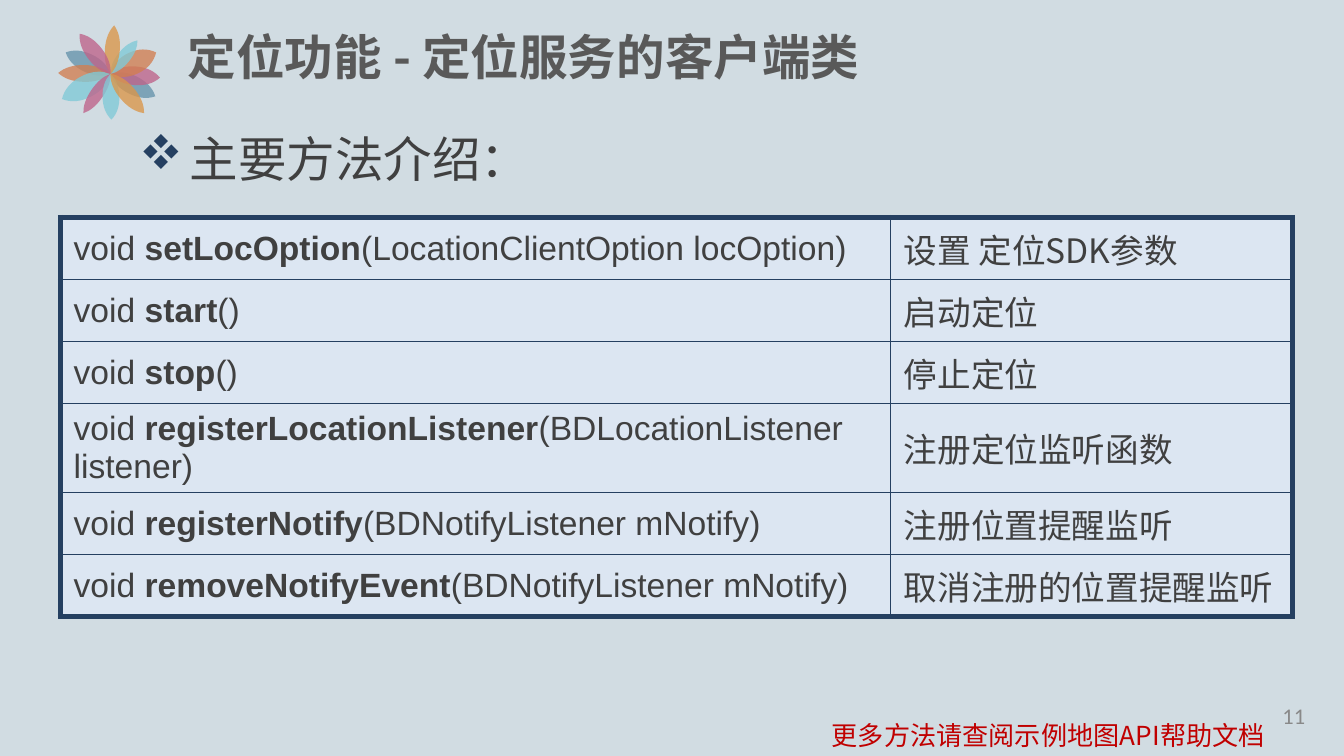
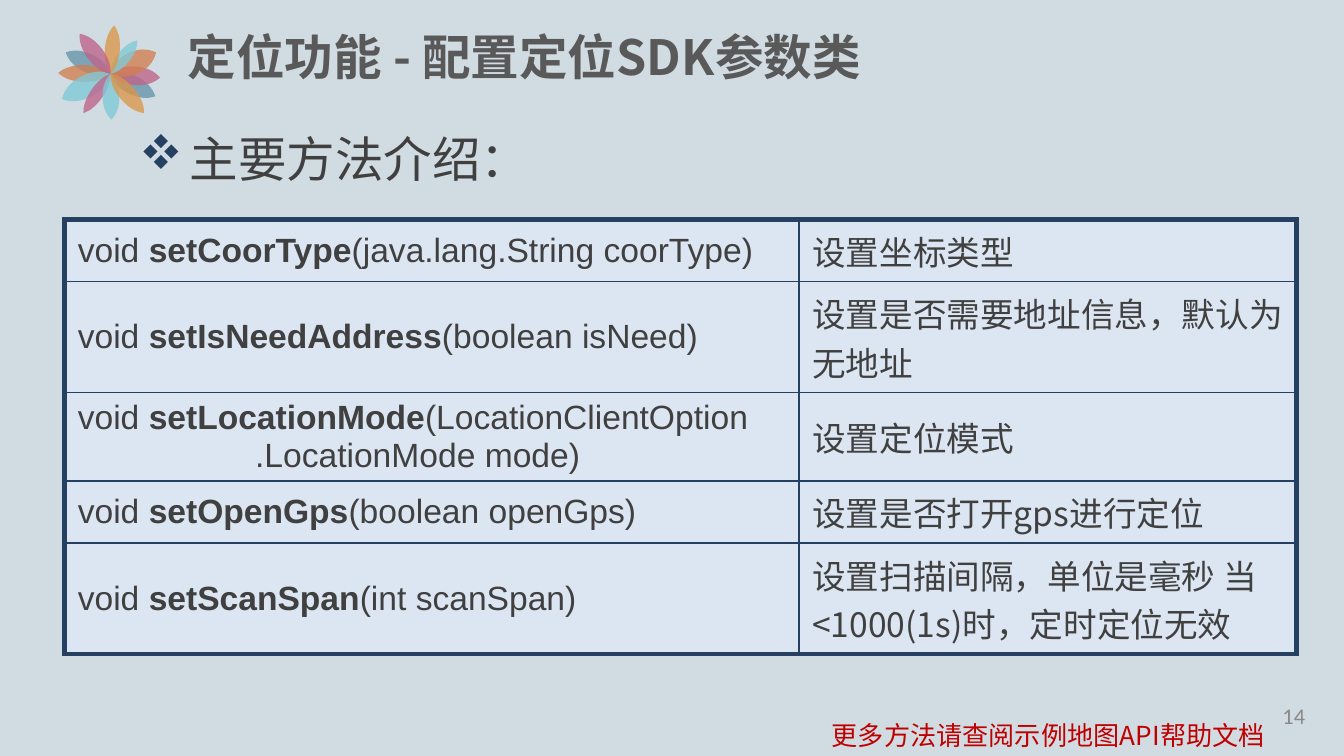
from math import hypot

from lxml import etree
from pptx import Presentation
from pptx import util as u
from pptx.dml.color import RGBColor
from pptx.enum import text
from pptx.oxml import ns

Pt = u.Pt
CJK, SANS, NUM = "Noto Sans CJK SC", "Arial", "Calibri"
NAVY, INK, GREY, PALE = "254061", "404040", "595959", "DCE6F2"
BLUE, RUST, ROSE, AQUA, GOLD = "6694AB", "D27E50", "BF638A", "80CAD7", "DB9649"

# Petals: tip relative to the flower centre, width, colour
PETALS = [
    (-24, -11.5, 10, BLUE), (24, 12, 10, BLUE), (-28, -0.5, 9, RUST),
    (26.5, 2, 10, ROSE), (-26, 13.5, 12, AQUA), (24.5, -11.5, 12, RUST),
    (-14.5, 21, 7, ROSE), (14.5, -18, 7, AQUA), (2, -26, 8, GOLD),
    (0.5, 24.5, 9, AQUA), (-16.5, -21.5, 9, ROSE), (18, 21, 9, GOLD),
]
# Curve points of one petal side: share of length, share of half width
SIDE = [(0, 0), (0.12, 0.67), (0.29, 1), (0.5, 1), (0.71, 1), (0.88, 0.67), (1, 0)]
EDGE = SIDE + [(t, -w) for t, w in reversed(SIDE[:-1])]

HEAD = "主要方法介绍："
HINT = "更多方法请查阅示例地图API帮助文档"

# Method name, arguments, meaning
CLIENT = [
    ("setLocOption", "(LocationClientOption locOption)", "设置 定位SDK参数"),
    ("start", "()", "启动定位"),
    ("stop", "()", "停止定位"),
    ("registerLocationListener", "(BDLocationListener listener)", "注册定位监听函数"),
    ("registerNotify", "(BDNotifyListener mNotify)", "注册位置提醒监听"),
    ("removeNotifyEvent", "(BDNotifyListener mNotify)", "取消注册的位置提醒监听"),
]
OPTION = [
    ("setCoorType", "(java.lang.String coorType)", "设置坐标类型"),
    ("setIsNeedAddress", "(boolean isNeed)", "设置是否需要地址信息，默认为无地址"),
    ("setLocationMode", "(LocationClientOption\n.LocationMode mode)", "设置定位模式"),
    ("setOpenGps", "(boolean openGps)", "设置是否打开gps进行定位"),
    ("setScanSpan", "(int scanSpan)", "设置扫描间隔，单位是毫秒 当<1000(1s)时，定时定位无效"),
]


def color(code):
    return RGBColor.from_string(code)


def sub(node, tag, **attrs):
    return etree.SubElement(node, ns.qn(tag), **attrs)


def style(run, size, face, code, bold=False):
    font = run.font
    font.size, font.name, font.bold = Pt(size), face, bold
    font.color.rgb = color(code)
    sub(run._r.get_or_add_rPr(), "a:ea", typeface=face)


def place(shape, box):
    shape.left, shape.top, shape.width, shape.height = map(Pt, box)


def fill_text(shape, words, size, face, code, bold=False, lead=None):
    frame = shape.text_frame
    frame.text = words
    frame.word_wrap = True
    frame.auto_size = text.MSO_AUTO_SIZE.NONE
    frame.vertical_anchor = text.MSO_ANCHOR.TOP
    para = frame.paragraphs[0]
    para.alignment = text.PP_ALIGN.LEFT
    para.space_before = Pt(0)
    if lead:
        para.line_spacing = Pt(lead)
    style(para.runs[0], size, face, code, bold)
    return para


def add_label(slide, box, *args, **opts):
    label = slide.shapes.add_textbox(*map(Pt, box))
    return label, fill_text(label, *args, **opts)


def curve(shape):
    """Turn each three line points of the outline into one Bezier curve."""
    lines = list(shape._element.iter(ns.qn("a:lnTo")))
    for i in range(0, len(lines), 3):
        bend = etree.Element(ns.qn("a:cubicBezTo"))
        lines[i].addprevious(bend)
        for line in lines[i:i + 3]:
            bend.append(line[0])
            line.getparent().remove(line)


def flower(slide, cx, cy):
    group = slide.shapes.add_group_shape()
    for dx, dy, width, code in PETALS:
        half = width / 2 / hypot(dx, dy)
        dots = [(Pt(cx + dx * t - dy * w * half), Pt(cy + dy * t + dx * w * half))
                for t, w in EDGE]
        pen = group.shapes.build_freeform(*dots[0])
        pen.add_line_segments(dots[1:], close=True)
        petal = pen.convert_to_shape()
        curve(petal)
        petal.shadow.inherit = False
        petal.line.fill.background()
        petal.fill.solid()
        petal.fill.fore_color.rgb = color(code)
        tint = petal._element.spPr.find(".//" + ns.qn("a:srgbClr"))
        sub(tint, "a:alpha", val="78000")


def header(slide, title):
    place(slide.shapes.title, (93.4, 10.8, 578, 56))
    fill_text(slide.shapes.title, title, 26, CJK, GREY, bold=True)
    body = slide.placeholders[1]
    place(body, (67.4, 68.8, 590, 39.6))
    para = fill_text(body, HEAD, 26, CJK, INK, lead=28)
    # Diamond bullet: "v" is the diamond in Wingdings
    props = para._p.get_or_add_pPr()
    props.set("marL", str(Pt(27)))
    props.set("indent", str(Pt(-27)))
    sub(sub(props, "a:buClr"), "a:srgbClr", val=NAVY)
    sub(props, "a:buFont", typeface="Wingdings", charset="2")
    sub(props, "a:buChar", char="v")


def footer(slide, page):
    label, para = add_label(slide, (654.5, 372.5, 51.8, 21.6), str(page), 12, NUM, "898989")
    label.text_frame.vertical_anchor = text.MSO_ANCHOR.MIDDLE
    para.alignment = text.PP_ALIGN.RIGHT
    add_label(slide, (438.5, 370.8, 256.3, 32.4), HINT, 14, CJK, "C00000", lead=28)


def borders(cell, widths):
    props = cell._tc.get_or_add_tcPr()
    for i, (side, width) in enumerate(zip("LRTB", widths)):
        line = etree.Element(ns.qn("a:ln" + side), w=str(Pt(width)))
        sub(sub(line, "a:solidFill"), "a:srgbClr", val=NAVY)
        props.insert(i, line)


def signature(frame, name, args):
    first, *rest = args.split("\n")
    para = frame.paragraphs[0]
    for part in ("void ", name, first):
        run = para.add_run()
        run.text = part
        style(run, 18, SANS, INK, part == name)
    for line in rest:
        para = frame.add_paragraph()
        para.text = line
        para._p.get_or_add_pPr().set("marL", str(Pt(95)))
        style(para.runs[0], 18, SANS, INK)


def methods(slide, box, split, rows):
    last = len(rows) - 1
    holder = slide.shapes.add_table(len(rows), 2, *map(Pt, box))
    table = holder.table
    table.first_row = table.horz_banding = False
    table.columns[0].width = Pt(split)
    table.columns[1].width = Pt(box[2] - split)
    for r, (name, args, note) in enumerate(rows):
        table.rows[r].height = Pt(18.7)
        left, right = table.cell(r, 0), table.cell(r, 1)
        signature(left.text_frame, name, args)
        right.text_frame.text = note
        style(right.text_frame.paragraphs[0].runs[0], 18, CJK, INK)
        # Thick outer frame, thin inner rules
        top, low = (3 if r == 0 else 1), (3 if r == last else 1)
        for cell, sides in ((left, (3, 1)), (right, (1, 3))):
            cell.vertical_anchor = text.MSO_ANCHOR.MIDDLE
            cell.fill.solid()
            cell.fill.fore_color.rgb = color(PALE)
            borders(cell, (*sides, top, low))
    holder.height = Pt(box[3])


def method_slide(deck, title, page, box, split, rows):
    slide = deck.slides.add_slide(deck.slide_layouts[1])
    flower(slide, 59.2, 39.6)
    header(slide, title)
    footer(slide, page)
    methods(slide, box, split, rows)


def main():
    deck = Presentation()
    deck.slide_width, deck.slide_height = Pt(720), Pt(405)
    back = deck.slide_master.background.fill
    back.solid()
    back.fore_color.rgb = color("D1DCE2")
    method_slide(deck, "定位功能 - 定位服务的客户端类", 11,
                 (32.3, 116.4, 660.3, 194.4), 444.7, CLIENT)
    method_slide(deck, "定位功能 - 配置定位SDK参数类", 14,
                 (34.5, 117.6, 660.3, 208.8), 393.5, OPTION)
    deck.save("out.pptx")


if __name__ == "__main__":
    main()
